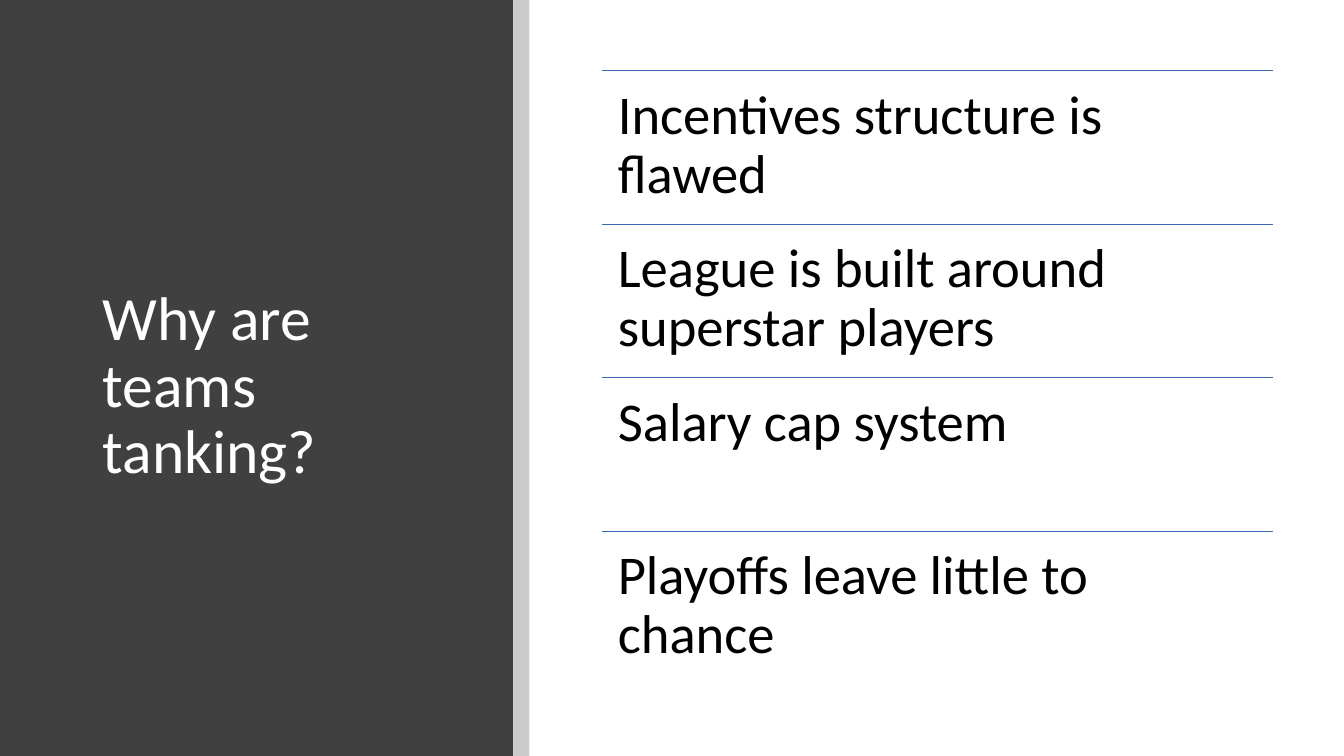
"""Build the slide that asks why teams are tanking."""
from lxml.etree import SubElement
from pptx import Presentation
from pptx.dml.color import RGBColor
from pptx.enum.shapes import MSO_CONNECTOR as Connector, MSO_SHAPE as Shape
from pptx.enum.text import MSO_ANCHOR as Anchor
from pptx.oxml.ns import qn
from pptx.util import Cm, Pt

QUESTION = "Why are teams tanking?"
REASONS = [
    "Incentives structure is flawed",
    "League is built around superstar players",
    "Salary cap system",
    "Playoffs leave little to chance",
]
FONT = "Calibri"
WIDTH, HEIGHT = 33.87, 19.05
PANEL_WIDTH, STRIP_WIDTH = 12.93, 0.41
LIST_LEFT, LIST_TOP, LIST_WIDTH, ROW_HEIGHT = 15.16, 1.78, 16.92, 3.87


def color(hex_code):
    return RGBColor.from_string(hex_code)


def add_band(left, width, fill):
    band = slide.shapes.add_shape(Shape.RECTANGLE, Cm(left), 0, Cm(width), Cm(HEIGHT))
    band.shadow.inherit = False
    band.fill.solid()
    band.fill.fore_color.rgb = color(fill)
    band.line.fill.background()


def add_rule(left, top, width):
    rule = slide.shapes.add_connector(
        Connector.STRAIGHT, Cm(left), Cm(top), Cm(left + width), Cm(top))
    rule.line.color.rgb = color("3E67B2")
    rule.line.width = Pt(0.5)
    SubElement(rule.element.spPr, qn("a:effectLst"))


def add_text(text, left, top, width, height, *, size, ink, inset_x, inset_y,
             anchor=Anchor.TOP):
    frame = slide.shapes.add_textbox(Cm(left), Cm(top), Cm(width), Cm(height)).text_frame
    frame.word_wrap = True
    frame.vertical_anchor = anchor
    frame.margin_left = frame.margin_right = Cm(inset_x)
    frame.margin_top = frame.margin_bottom = Cm(inset_y)
    paragraph = frame.paragraphs[0]
    paragraph.line_spacing = 0.9
    run = paragraph.add_run()
    run.text = text
    run.font.name = FONT
    run.font.size = Pt(size)
    run.font.color.rgb = color(ink)


deck = Presentation()
deck.slide_width, deck.slide_height = Cm(WIDTH), Cm(HEIGHT)
slide = deck.slides.add_slide(deck.slide_layouts[6])

add_band(0, PANEL_WIDTH, "404040")
add_band(PANEL_WIDTH, STRIP_WIDTH, "CCCCCC")
add_text(QUESTION, 2.34, 2.26, 9.27, 15.01, size=44, ink="FFFFFF",
         inset_x=0.25, inset_y=0.13, anchor=Anchor.MIDDLE)

for row, reason in enumerate(REASONS):
    top = LIST_TOP + row * ROW_HEIGHT
    add_rule(LIST_LEFT, top, LIST_WIDTH)
    add_text(reason, LIST_LEFT, top, LIST_WIDTH, ROW_HEIGHT, size=39, ink="000000",
             inset_x=0.41, inset_y=0.41)

deck.save("out.pptx")
